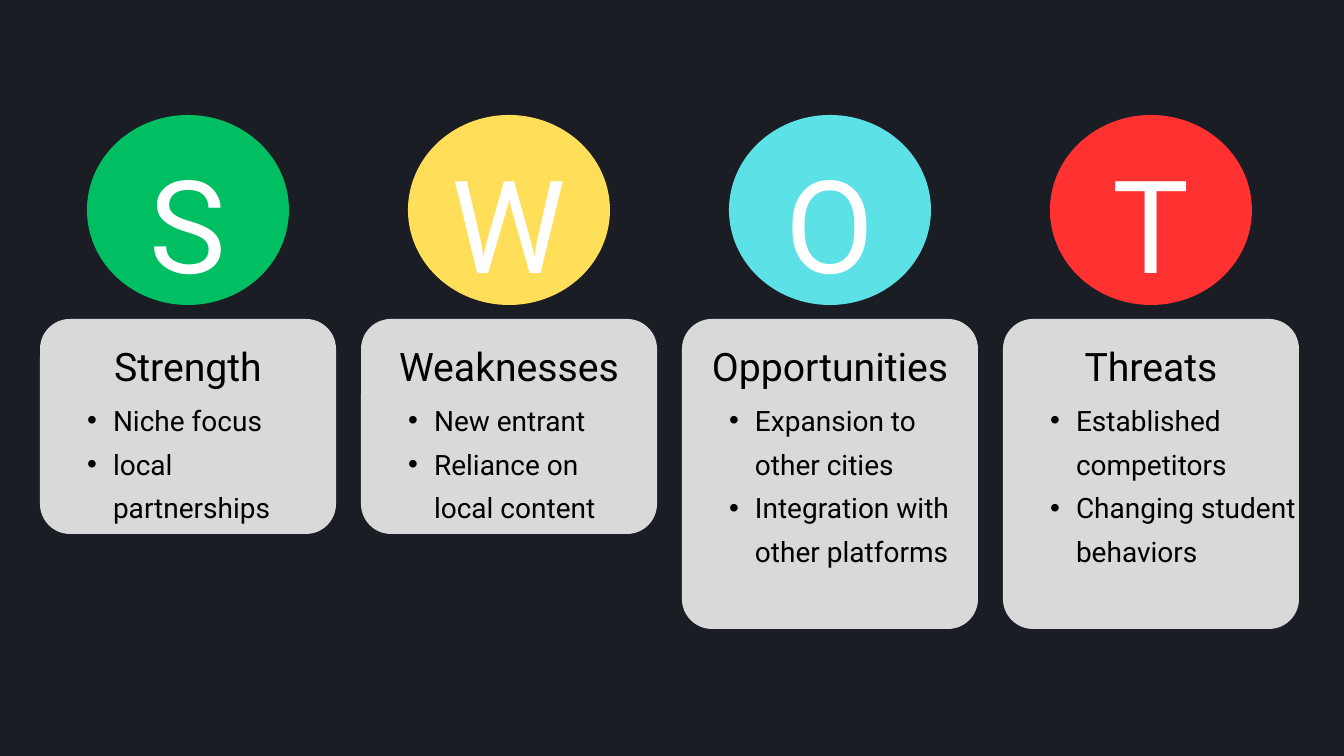
from copy import deepcopy
from dataclasses import dataclass

from lxml.etree import SubElement
from pptx import Presentation
from pptx.dml.color import RGBColor
from pptx.enum.shapes import MSO_SHAPE
from pptx.enum.text import MSO_ANCHOR, MSO_AUTO_SIZE, PP_ALIGN
from pptx.oxml.ns import qn
from pptx.util import Pt


@dataclass(frozen=True)
class Theme:
    back: str = "1A1D24"
    card: str = "D9D9D9"
    ink: str = "000000"
    white: str = "FFFFFF"
    hues: tuple = ("00BF63", "FFDE59", "5CE1E6", "FF3131")
    font: str = "Roboto"
    letter: float = 92.2
    head: float = 28
    item: float = 20


THEME = Theme()
PITCH = 321
COLUMNS = [
    ("S", "Strength", ["Niche focus", "local partnerships"], 215, 255),
    ("W", "Weaknesses", ["New entrant", "Reliance on local content"], 215, 255),
    ("O", "Opportunities",
     ["Expansion to other cities", "Integration with other platforms"], 310, 255),
    ("T", "Threats",
     ["Established competitors", "Changing student behaviors"], 310, 276),
]


def px(count):
    return round(count * 914400 / 100.8)


def place(shape, left, top, width, height):
    shape.left, shape.top = px(left), px(top)
    shape.width, shape.height = px(width), px(height)


def bullet(para):
    props = para._p.get_or_add_pPr()
    props.set("marL", str(px(53)))
    props.set("indent", str(px(-26)))
    SubElement(props, qn("a:buFont")).set("typeface", "Arial")
    SubElement(props, qn("a:buChar")).set("char", "•")


def write(shape, lines, size, color, lead, align=PP_ALIGN.CENTER, dots=False):
    frame = shape.text_frame
    frame.word_wrap = True
    frame.auto_size = MSO_AUTO_SIZE.NONE
    frame.vertical_anchor = MSO_ANCHOR.TOP
    frame.margin_left = frame.margin_right = 0
    frame.margin_top = frame.margin_bottom = 0
    for row, line in enumerate(lines):
        para = frame.add_paragraph() if row else frame.paragraphs[0]
        if dots:
            bullet(para)
        para.alignment = align
        para.line_spacing = Pt(lead)
        para.space_before = Pt(0)
        run = para.add_run()
        run.text = line
        run.font.name = THEME.font
        run.font.size = Pt(size)
        run.font.color.rgb = RGBColor.from_string(color)


def solid(slide, kind, left, top, width, height, color):
    shape = slide.shapes.add_shape(kind, 0, 0, 0, 0)
    place(shape, left, top, width, height)
    shape.shadow.inherit = False
    shape.fill.solid()
    shape.fill.fore_color.rgb = RGBColor.from_string(color)
    shape.line.fill.background()
    return shape


def label(slide, text, left, top, width, height, **style):
    box = slide.shapes.add_textbox(0, 0, 0, 0)
    place(box, left, top, width, height)
    write(box, [text], **style)


def column(slide, body, index, letter, head, items, height, width):
    left = PITCH * index
    card = solid(slide, MSO_SHAPE.ROUNDED_RECTANGLE,
                 40 + left, 319, 296, height, THEME.card)
    card.adjustments[0] = 30 / min(296, height)
    solid(slide, MSO_SHAPE.OVAL, 87 + left, 115, 202, 190, THEME.hues[index])
    label(slide, letter, 87 + left, 119, 202, 166,
          size=THEME.letter, color=THEME.white, lead=129.1)
    label(slide, head, 46 + left, 340, 284, 46,
          size=THEME.head, color=THEME.ink, lead=35.2)
    place(body, 60 + left, 393, width, height - 90)
    write(body, items, size=THEME.item, color=THEME.ink, lead=31.3,
          align=PP_ALIGN.LEFT, dots=True)
    slide.shapes._spTree.append(body._element)


def widen(layout, count):
    first = layout.placeholders[1]._element
    for index in range(1, count):
        twin = deepcopy(first)
        twin.xpath(".//p:ph")[0].set("idx", str(20 + index))
        twin.xpath(".//p:cNvPr")[0].set("id", str(20 + index))
        layout.shapes._spTree.append(twin)


def main():
    deck = Presentation()
    deck.slide_width, deck.slide_height = px(1344), px(756)
    layout = deck.slide_layouts[1]
    widen(layout, len(COLUMNS))
    slide = deck.slides.add_slide(layout)
    slide.background.fill.solid()
    slide.background.fill.fore_color.rgb = RGBColor.from_string(THEME.back)
    title, *bodies = list(slide.placeholders)
    title._element.getparent().remove(title._element)
    for index, (body, parts) in enumerate(zip(bodies, COLUMNS)):
        column(slide, body, index, *parts)
    deck.save("out.pptx")


if __name__ == "__main__":
    main()
